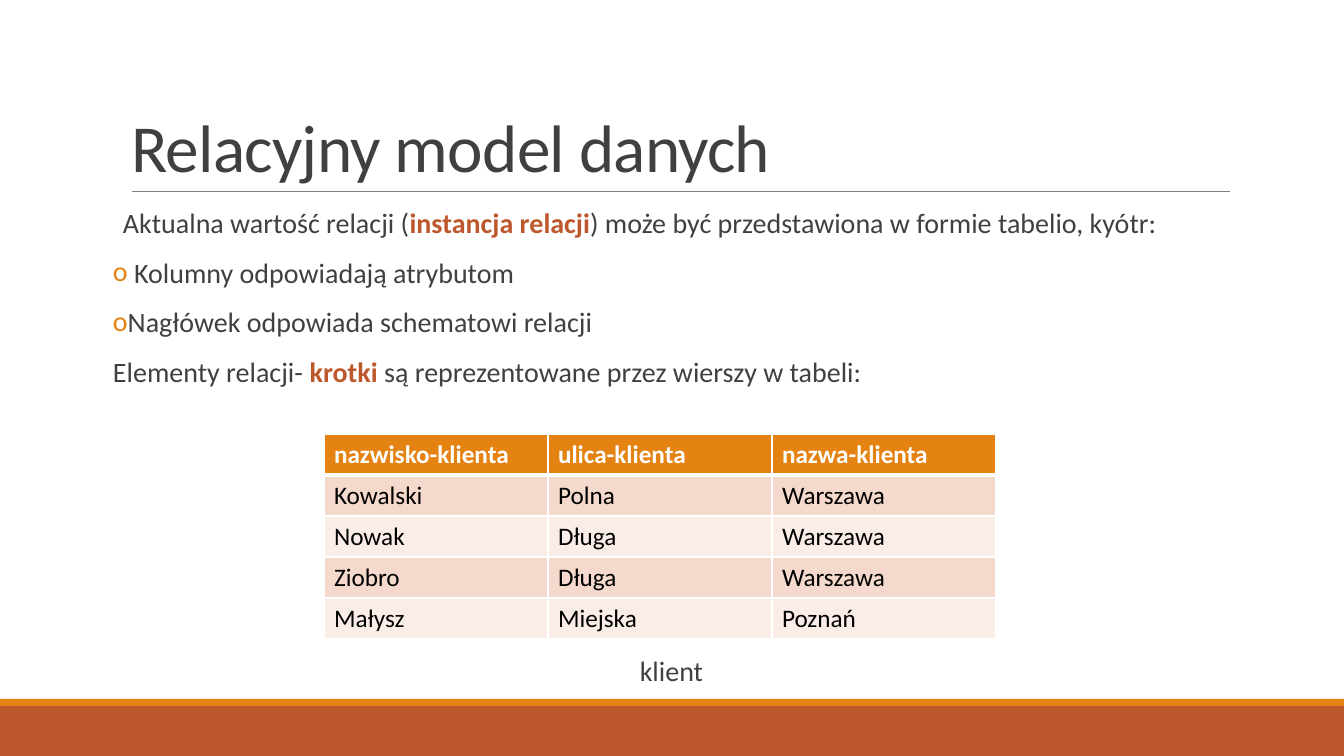
import pptx
import pptx.dml.color
import pptx.enum.shapes
import pptx.enum.text
import pptx.oxml
import pptx.oxml.ns
import pptx.util

TITLE = "Relacyjny model danych"
# Each paragraph: style, then spans of (text, emphasised)
BODY = [
    ("indented", [("Aktualna wartość relacji (", False), ("instancja relacji", True),
                  (") może być przedstawiona w formie tabelio, kyótr:", False)]),
    ("bullet", [(" Kolumny odpowiadają atrybutom", False)]),
    ("bullet", [("Nagłówek odpowiada schematowi relacji", False)]),
    ("plain", [("Elementy relacji- ", False), ("krotki", True),
               (" są reprezentowane przez wierszy w tabeli:", False)]),
    ("caption", [("klient", False)]),
]
CLIENTS = [
    ("nazwisko-klienta", "ulica-klienta", "nazwa-klienta"),
    ("Kowalski", "Polna", "Warszawa"),
    ("Nowak", "Długa", "Warszawa"),
    ("Ziobro", "Długa", "Warszawa"),
    ("Małysz", "Miejska", "Poznań"),
]
COLORS = {"text": "404040", "accent": "BD582C", "orange": "E48312", "rule": "808080",
          "odd": "F5D9CC", "even": "FAEDE7", "white": "FFFFFF", "black": "000000"}
FONT = "Calibri"
PAGE_WIDTH, PAGE_HEIGHT = 1344, 756
TITLE_BOX = (121, 31, 1109, 160)
BODY_BOX = (113, 204, 1117, 493)
RULE = (132, 191, 1230, 191)
BANDS = [((0, 706, PAGE_WIDTH, 50), "accent"), ((0, 699, PAGE_WIDTH, 7), "orange")]
TABLE_LEFT, TABLE_TOP, COLUMN_WIDTH, ROW_HEIGHT = 324, 434, 224, 41
HANGING = 10
CAPTION_GAP = 190  # points, leaves room for the table
NAMESPACE = pptx.oxml.ns.nsdecls("a")


def px(length):
    return pptx.util.Emu(round(length * 914400 / 100.8))


def px_all(lengths):
    return [px(length) for length in lengths]


def rgb(name):
    return pptx.dml.color.RGBColor.from_string(COLORS[name])


def element(xml):
    """Parse one drawing element, its tag ending where the namespace goes in."""
    return pptx.oxml.parse_xml(xml.replace("NS", NAMESPACE, 1))


def style_span(span, size, color, bold=False):
    span.font.name = FONT
    span.font.size = pptx.util.Pt(size)
    span.font.bold = bold
    span.font.color.rgb = rgb(color)


def place(shape, box):
    shape.left, shape.top, shape.width, shape.height = px_all(box)


def add_decoration(page):
    for box, color in BANDS:
        band = page.shapes.add_shape(pptx.enum.shapes.MSO_SHAPE.RECTANGLE, *px_all(box))
        band.shadow.inherit = False
        band.fill.solid()
        band.fill.fore_color.rgb = rgb(color)
        band.line.fill.background()
    rule = page.shapes.add_connector(pptx.enum.shapes.MSO_CONNECTOR.STRAIGHT, *px_all(RULE))
    rule.line.color.rgb = rgb("rule")
    rule.line.width = pptx.util.Pt(0.5)
    rule._element.spPr.append(element("<a:effectLst NS/>"))


def fill_title(title):
    place(title, TITLE_BOX)
    frame = title.text_frame
    frame.text = TITLE
    frame.auto_size = pptx.enum.text.MSO_AUTO_SIZE.NONE
    frame.vertical_anchor = pptx.enum.text.MSO_ANCHOR.BOTTOM
    para = frame.paragraphs[0]
    para.alignment = pptx.enum.text.PP_ALIGN.LEFT
    para.line_spacing = 0.85
    style_span(para.runs[0], 48, "text")
    para.runs[0].font._element.set("spc", "-50")


def set_bullet(para, style):
    properties = para._p.get_or_add_pPr()
    margin = px(HANGING) if style in ("indented", "bullet") else 0
    properties.set("marL", str(margin))
    properties.set("indent", str(-margin if style == "bullet" else 0))
    if style == "bullet":
        properties.append(element(f'<a:buClr NS><a:srgbClr val="{COLORS["orange"]}"/></a:buClr>'))
        properties.append(element(f'<a:buFont NS typeface="{FONT}"/>'))
        properties.append(element('<a:buChar NS char="o"/>'))
    else:
        properties.append(element("<a:buNone NS/>"))


def fill_body(body):
    place(body, BODY_BOX)
    frame = body.text_frame
    frame.auto_size = pptx.enum.text.MSO_AUTO_SIZE.NONE
    frame.margin_left = frame.margin_right = 0
    frame.text = "\n".join("".join(text for text, _ in spans) for _, spans in BODY)
    for para, (style, spans) in zip(frame.paragraphs, BODY):
        caption = style == "caption"
        para.alignment = (pptx.enum.text.PP_ALIGN.CENTER if caption
                          else pptx.enum.text.PP_ALIGN.LEFT)
        para.line_spacing = 0.9
        para.space_before = pptx.util.Pt(CAPTION_GAP if caption else 12)
        para.space_after = pptx.util.Pt(2)
        set_bullet(para, style)
        para.clear()
        for text, emphasised in spans:
            span = para.add_run()
            span.text = text
            style_span(span, 20, "accent" if emphasised else "text", emphasised)


def set_borders(cell, header):
    properties = cell._tc.get_or_add_tcPr()
    for side in ("L", "R", "T", "B"):
        width = pptx.util.Pt(3 if header and side == "B" else 1)
        properties.append(element(
            f'<a:ln{side} NS w="{width}"><a:solidFill>'
            f'<a:srgbClr val="{COLORS["white"]}"/></a:solidFill></a:ln{side}>'))


def add_client_table(page):
    rows, columns = len(CLIENTS), len(CLIENTS[0])
    box = (TABLE_LEFT, TABLE_TOP, columns * COLUMN_WIDTH, rows * ROW_HEIGHT)
    table = page.shapes.add_table(rows, columns, *px_all(box)).table
    for row, values in enumerate(CLIENTS):
        header = row == 0
        fill = "orange" if header else ("odd" if row % 2 else "even")
        for column, value in enumerate(values):
            cell = table.cell(row, column)
            cell.text = value
            set_borders(cell, header)
            cell.fill.solid()
            cell.fill.fore_color.rgb = rgb(fill)
            style_span(cell.text_frame.paragraphs[0].runs[0], 18,
                       "white" if header else "black", header)


def main():
    deck = pptx.Presentation()
    deck.slide_width, deck.slide_height = px(PAGE_WIDTH), px(PAGE_HEIGHT)
    page = deck.slides.add_slide(deck.slide_layouts[1])
    add_decoration(page)
    fill_title(page.shapes.title)
    fill_body(page.placeholders[1])
    add_client_table(page)
    deck.save("out.pptx")


if __name__ == "__main__":
    main()
